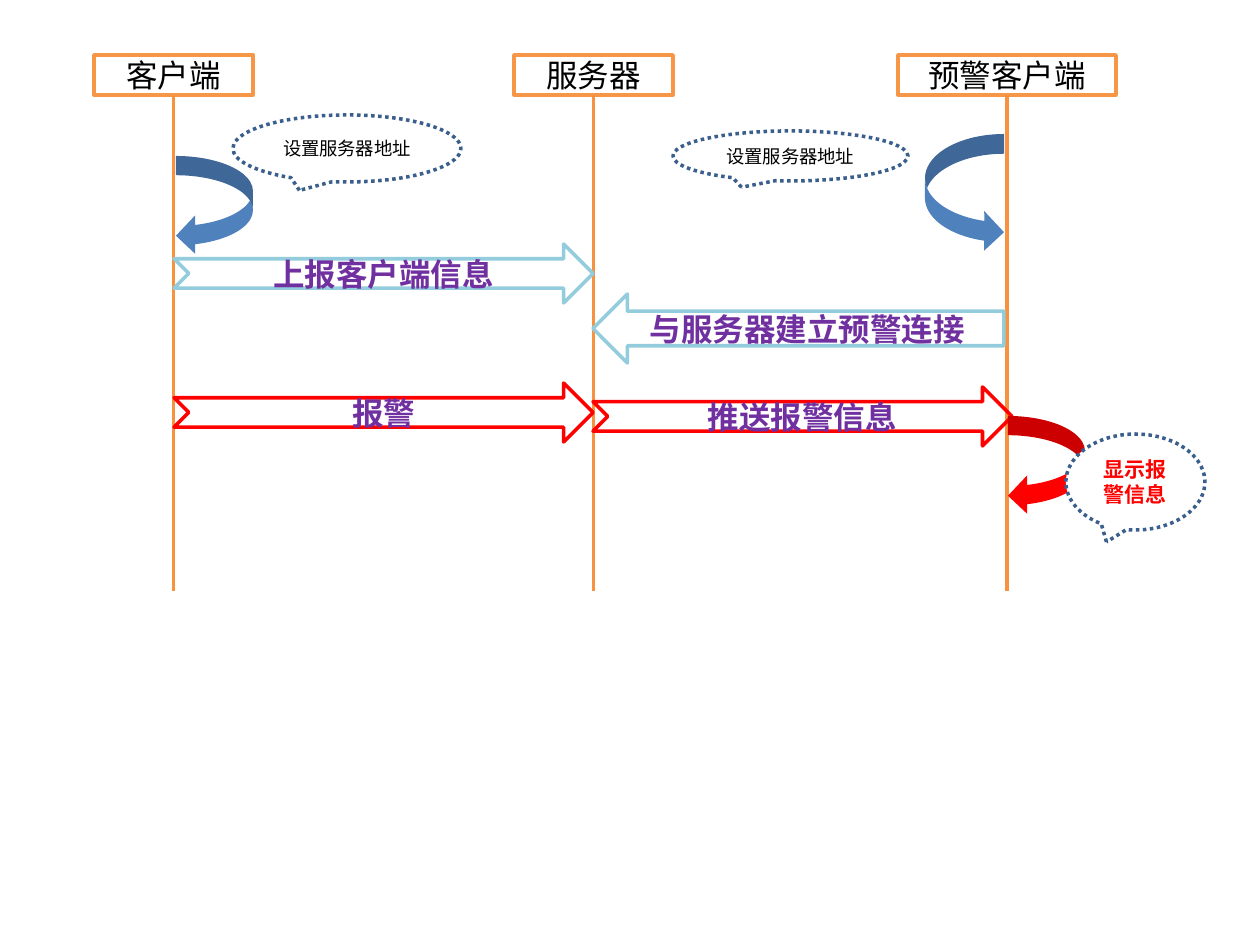
from lxml.etree import SubElement
from pptx import Presentation
from pptx.dml.color import RGBColor
from pptx.enum.dml import MSO_LINE as Dash
from pptx.enum.shapes import MSO_CONNECTOR as Connector, MSO_SHAPE as Shape
from pptx.enum.text import MSO_ANCHOR as Anchor, PP_ALIGN as Align
from pptx.oxml.ns import qn
from pptx.util import Emu, Pt

PX = 914400 / 126
WHITE = RGBColor(255, 255, 255)
BLACK = RGBColor(0, 0, 0)
ORANGE = RGBColor(0xF7, 0x96, 0x46)
LIFELINE = RGBColor(0xF6, 0x92, 0x40)
BLUE = RGBColor(0x4F, 0x81, 0xBD)
NAVY = RGBColor(0x3A, 0x5F, 0x8C)
CYAN = RGBColor(0x93, 0xCD, 0xDD)
RED = RGBColor(255, 0, 0)
PURPLE = RGBColor(0x70, 0x30, 0xA0)


def px(*lengths):
    return [Emu(round(length * PX)) for length in lengths]


def write(shape, text, size=18, color=BLACK, bold=False):
    frame = shape.text_frame
    frame.word_wrap = True
    frame.vertical_anchor = Anchor.MIDDLE
    para = frame.paragraphs[0]
    para.alignment = Align.CENTER
    span = para.add_run()
    span.text = text
    span.font.name = "Calibri"
    span.font.size = Pt(size)
    span.font.bold = bold
    span.font.color.rgb = color


def add_block(shapes, kind, box, fill=None, line=None):
    shape = shapes.add_shape(kind, *px(*box))
    shape.shadow.inherit = False
    if fill is None:
        shape.fill.background()
    else:
        shape.fill.solid()
        shape.fill.fore_color.rgb = fill
    if line is None:
        shape.line.fill.background()
    else:
        shape.line.color.rgb = line
        shape.line.width = Pt(2)
    return shape


def add_participant(page, box, name):
    left, top, width, height = box
    head_height = 40
    group = page.shapes.add_group_shape()
    head = add_block(group.shapes, Shape.RECTANGLE,
                     (left, top, width, head_height), WHITE, ORANGE)
    write(head, name)
    center = left + width / 2
    stem = group.shapes.add_connector(
        Connector.STRAIGHT, *px(center, top + head_height, center, top + height))
    stem.line.color.rgb = LIFELINE
    stem.line.width = Pt(2.25)
    SubElement(stem._element.spPr, qn("a:effectLst"))


def add_message(page, box, text, color, kind=Shape.NOTCHED_RIGHT_ARROW):
    arrow = add_block(page.shapes, kind, box, line=color)
    write(arrow, text, color=PURPLE, bold=True)


def add_loop(page, box, color=BLUE, kind=Shape.CURVED_LEFT_ARROW):
    add_block(page.shapes, kind, box, color)


def add_note(page, box, text, **style):
    bubble = add_block(page.shapes, Shape.OVAL_CALLOUT, box, WHITE, NAVY)
    bubble.line.dash_style = Dash.ROUND_DOT
    write(bubble, text, **style)


def main():
    deck = Presentation()
    deck.slide_width, deck.slide_height = px(1260, 945)
    page = deck.slides.add_slide(deck.slide_layouts[6])

    for left, width, name in ((94, 159, "客户端"), (514, 159, "服务器"),
                              (898, 218, "预警客户端")):
        add_participant(page, (left, 55, width, 536), name)

    address = "设置服务器地址"
    add_loop(page, (176, 156, 77, 99))
    add_note(page, (233, 115, 228, 67), address, size=10.5)
    add_message(page, (174, 244, 419, 59), "上报客户端信息", CYAN)
    add_note(page, (673, 131, 235, 50), address, size=10.5)
    add_loop(page, (925, 134, 79, 118), kind=Shape.CURVED_RIGHT_ARROW)
    add_message(page, (593, 294, 411, 69), "与服务器建立预警连接", CYAN,
                kind=Shape.LEFT_ARROW)
    add_message(page, (174, 383, 419, 59), "报警", RED)
    add_message(page, (593, 387, 419, 59), "推送报警信息", RED)
    add_loop(page, (1008, 416, 77, 99), RED)
    add_note(page, (1066, 434, 139, 96), "显示报警信息",
             size=12, color=RED, bold=True)
    deck.save("out.pptx")


if __name__ == "__main__":
    main()
